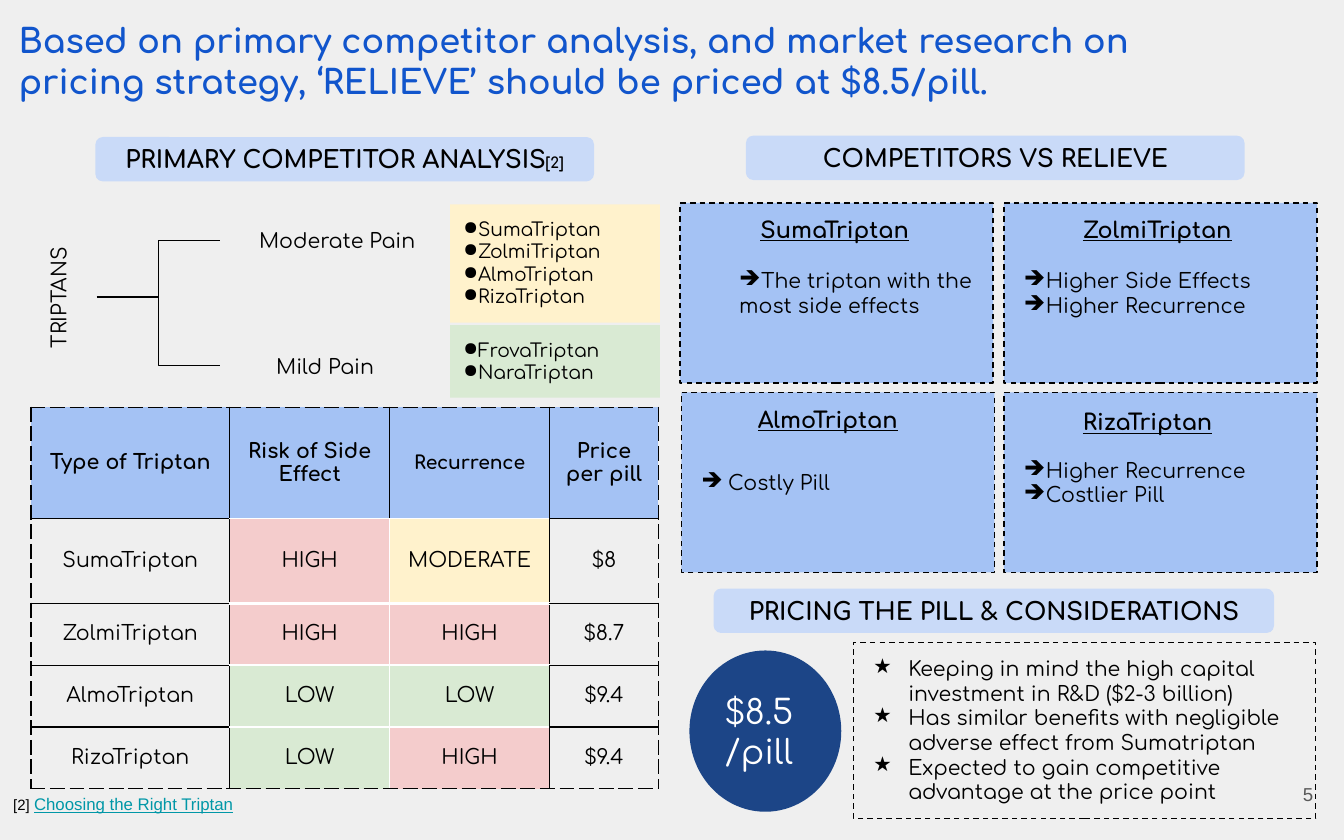
from lxml import etree
from pptx import Presentation
from pptx.dml.color import RGBColor
from pptx.enum.dml import MSO_LINE
from pptx.enum.shapes import MSO_CONNECTOR, MSO_SHAPE
from pptx.enum.text import MSO_ANCHOR, PP_ALIGN
from pptx.oxml.ns import qn
from pptx.util import Inches, Pt

COLORS = {
    "background": "EFEFEF", "ink": "000000", "title": "1155CC", "link": "0097A7",
    "number": "595959", "white": "FFFFFF", "banner": "C9DAF8", "card": "A4C2F4",
    "price": "1C4587", "red": "F4CCCC", "yellow": "FFF2CC", "green": "D9EAD3",
}
RATING_COLORS = {"HIGH": "red", "MODERATE": "yellow", "LOW": "green"}
FONT = "Comfortaa"
INSET = 0.1

HEADERS = ["Type of Triptan", "Risk of Side Effect", "Recurrence", "Price per pill"]
TRIPTANS = [
    ["SumaTriptan", "HIGH", "MODERATE", "$8"],
    ["ZolmiTriptan", "HIGH", "HIGH", "$8.7"],
    ["AlmoTriptan", "LOW", "LOW", "$9.4"],
    ["RizaTriptan", "LOW", "HIGH", "$9.4"],
]
COLUMN_WIDTHS = [1.48, 1.19, 1.19, 0.81]
ROW_HEIGHTS = [0.83, 0.63, 0.46, 0.46, 0.46]

# name, card corner, name corner, left inset, bullet margin and indent, drawbacks
CARDS = [
    ("SumaTriptan", (5.06, 1.51), (5.56, 1.51), 0.44, (0, -0.2),
     ["The triptan with the most side effects"]),
    ("ZolmiTriptan", (7.47, 1.51), (7.96, 1.51), INSET, (0.19, -0.14),
     ["Higher Side Effects", "Higher Recurrence"]),
    ("AlmoTriptan", (5.07, 2.92), (5.54, 2.92), INSET, (0.25, -0.2),
     ["Costly Pill"]),
    ("RizaTriptan", (7.47, 2.92), (7.96, 2.94), INSET, (0.19, -0.14),
     ["Higher Recurrence", "Costlier Pill"]),
]
CONSIDERATIONS = [
    "Keeping in mind the high capital investment in R&D ($2-3 billion)",
    "Has similar benefits with negligible adverse effect from Sumatriptan",
    "Expected to gain competitive advantage at the price point",
]


def rgb(color):
    return RGBColor.from_string(COLORS[color])


def set_font(font, size, color="ink", name=FONT, bold=False, underline=False):
    font.size, font.name, font.bold = Pt(size), name, bold
    font.underline = underline
    font.color.rgb = rgb(color)


def add_bullet(paragraph, symbol, margin, indent):
    properties = paragraph._p.get_or_add_pPr()
    properties.set("marL", str(Inches(margin)))
    properties.set("indent", str(Inches(indent)))
    bullet_color = etree.SubElement(properties, qn("a:buClr"))
    etree.SubElement(bullet_color, qn("a:srgbClr"), val=COLORS["ink"])
    etree.SubElement(properties, qn("a:buChar"), char=symbol)


def write(shape, lines, size, align=PP_ALIGN.LEFT, anchor=MSO_ANCHOR.TOP,
          left_inset=INSET, bullet=None, **font_style):
    """Fill a shape with paragraphs; bullet is (symbol, margin, indent)."""
    frame = shape.text_frame
    frame.word_wrap = True
    frame.vertical_anchor = anchor
    frame.margin_left = Inches(left_inset)
    frame.margin_top = frame.margin_right = frame.margin_bottom = Inches(INSET)
    for index, line in enumerate(lines):
        paragraph = frame.add_paragraph() if index else frame.paragraphs[0]
        paragraph.text = line
        paragraph.alignment = align
        if bullet:
            add_bullet(paragraph, *bullet)
        set_font(paragraph.font, size, **font_style)


def add_text(slide, box, text, size, **style):
    label = slide.shapes.add_textbox(*map(Inches, box))
    write(label, [text], size, **style)
    return label


def add_panel(slide, box, fill=None, preset=MSO_SHAPE.RECTANGLE, dashed=False):
    panel = slide.shapes.add_shape(preset, *map(Inches, box))
    panel.shadow.inherit = False
    if fill:
        panel.fill.solid()
        panel.fill.fore_color.rgb = rgb(fill)
    else:
        panel.fill.background()
    if dashed:
        panel.line.color.rgb = rgb("ink")
        panel.line.width = Pt(0.75)
        panel.line.dash_style = MSO_LINE.DASH
    else:
        panel.line.fill.background()
    return panel


def add_label(slide, box, text, size=11, fill=None, bold=False):
    label = add_panel(slide, box, fill, MSO_SHAPE.ROUNDED_RECTANGLE)
    write(label, [text], size, PP_ALIGN.CENTER, MSO_ANCHOR.MIDDLE, bold=bold)
    return label


def add_banner(slide, box, text):
    return add_label(slide, box, text, 13, "banner", True)


def add_branch(slide, start, end):
    branch = slide.shapes.add_connector(MSO_CONNECTOR.ELBOW, *map(Inches, start + end))
    branch.line.color.rgb = rgb("ink")
    branch.line.width = Pt(0.75)
    etree.SubElement(branch._element.spPr, qn("a:effectLst"))


def add_pain_tree(slide):
    root = (0.72, 2.21)
    add_branch(slide, root, (1.64, 2.72))
    add_branch(slide, root, (1.64, 1.79))
    add_label(slide, (-0.4, 1.93, 1.67, 0.57), "TRIPTANS").rotation = 270
    add_label(slide, (1.64, 1.65, 1.74, 0.27), "Moderate Pain")
    add_label(slide, (1.64, 2.59, 1.56, 0.27), "Mild Pain")
    moderate = [row[0] for row in TRIPTANS]
    for top, height, fill, names in [
        (1.52, 0.88, "yellow", moderate),
        (2.42, 0.54, "green", ["FrovaTriptan", "NaraTriptan"]),
    ]:
        group = add_panel(slide, (3.35, top, 1.56, height), fill)
        write(group, names, 10, bullet=("●", 0, -0.07))


def cell_edges(row, column):
    """Yield (tag, color, width, dash): dashed outside, white between ratings."""
    last_row, last_column = len(TRIPTANS), len(HEADERS) - 1
    rated = column in (1, 2)
    for tag, outer, white in [
        ("a:lnL", column == 0, row > 0 and column == 2),
        ("a:lnR", column == last_column, row > 0 and column == 1),
        ("a:lnT", row == 0, rated),
        ("a:lnB", row == last_row, rated),
    ]:
        white = white and not outer
        below_header = (row, tag) in [(0, "a:lnB"), (1, "a:lnT")]
        thick = white and tag in ("a:lnT", "a:lnB") and not below_header
        yield (tag, "white" if white else "ink", 1.5 if thick else 0.75,
               "dash" if outer else "solid")


def set_cell_borders(cell, row, column):
    properties = cell._tc.get_or_add_tcPr()
    for position, (tag, color, width, dash) in enumerate(cell_edges(row, column)):
        edge = etree.Element(qn(tag), w=str(Pt(width)))
        fill = etree.SubElement(edge, qn("a:solidFill"))
        etree.SubElement(fill, qn("a:srgbClr"), val=COLORS[color])
        etree.SubElement(edge, qn("a:prstDash"), val=dash)
        properties.insert(position, edge)


def add_triptan_table(slide):
    rows = [HEADERS] + TRIPTANS
    box = (0.23, 3.03, sum(COLUMN_WIDTHS), sum(ROW_HEIGHTS))
    table = slide.shapes.add_table(len(rows), len(HEADERS), *map(Inches, box)).table
    table.first_row = table.horz_banding = False
    for column, width in zip(table.columns, COLUMN_WIDTHS):
        column.width = Inches(width)
    for row, height in zip(table.rows, ROW_HEIGHTS):
        row.height = Inches(height)
    for r, values in enumerate(rows):
        for c, value in enumerate(values):
            cell = table.cell(r, c)
            cell.margin_left = cell.margin_right = Inches(INSET)
            cell.margin_top = cell.margin_bottom = Inches(INSET)
            cell.vertical_anchor = MSO_ANCHOR.MIDDLE
            cell.text = value
            paragraph = cell.text_frame.paragraphs[0]
            paragraph.alignment = PP_ALIGN.CENTER
            set_font(paragraph.font, 10 if value == "Recurrence" else 11, bold=r == 0)
            fill = "card" if r == 0 else RATING_COLORS.get(value)
            if fill:
                cell.fill.solid()
                cell.fill.fore_color.rgb = rgb(fill)
            else:
                cell.fill.background()
            set_cell_borders(cell, r, c)


def add_competitor_card(slide, name, corner, name_corner, left_inset, indents, drawbacks):
    card = add_panel(slide, corner + (2.33, 1.34), "card", dashed=True)
    write(card, drawbacks, 11, anchor=MSO_ANCHOR.MIDDLE, left_inset=left_inset,
          bullet=("➔",) + indents)
    add_text(slide, name_corner + (1.36, 0.4), name, 12, bold=True, underline=True)


def add_run(shape, text, size, **font_style):
    run = shape.text_frame.paragraphs[0].add_run()
    run.text = text
    set_font(run.font, size, **font_style)


def main():
    deck = Presentation()
    deck.slide_width, deck.slide_height = Inches(10), Inches(6.25)
    slide = deck.slides.add_slide(deck.slide_layouts[6])
    slide.background.fill.solid()
    slide.background.fill.fore_color.rgb = rgb("background")

    add_text(slide, (0.04, 0.05, 9.45, 0.81),
             "Based on primary competitor analysis, and market research on pricing "
             "strategy, ‘RELIEVE’ should be priced at $8.5/pill.",
             18, color="title", bold=True)
    add_text(slide, (9.27, 5.67, 0.6, 0.48), "5", 10, align=PP_ALIGN.RIGHT,
             anchor=MSO_ANCHOR.MIDDLE, color="number", name="Arial")

    analysis = add_banner(slide, (0.71, 1.02, 3.71, 0.33), "PRIMARY COMPETITOR ANALYSIS")
    add_run(analysis, "[2]", 8, bold=True)
    add_pain_tree(slide)
    add_triptan_table(slide)
    footnote = add_text(slide, (0, 5.83, 9.6, 0.49), "[2] ", 8, name="Arial")
    add_run(footnote, "Choosing the Right Triptan", 9, color="link", name="Arial",
            underline=True)

    add_banner(slide, (5.55, 1.01, 3.71, 0.33), "COMPETITORS VS RELIEVE")
    for card in CARDS:
        add_competitor_card(slide, *card)

    add_banner(slide, (5.31, 4.38, 4.17, 0.33), "PRICING THE PILL & CONSIDERATIONS")
    price = add_panel(slide, (5.13, 4.84, 1.13, 1.2), "price", MSO_SHAPE.OVAL)
    write(price, ["$8.5/pill"], 18, anchor=MSO_ANCHOR.MIDDLE, color="white")
    reasons = add_panel(slide, (6.35, 4.78, 3.44, 1.31), dashed=True)
    write(reasons, CONSIDERATIONS, 11, bullet=("★", 0.31, -0.26))

    deck.save("out.pptx")


if __name__ == "__main__":
    main()
